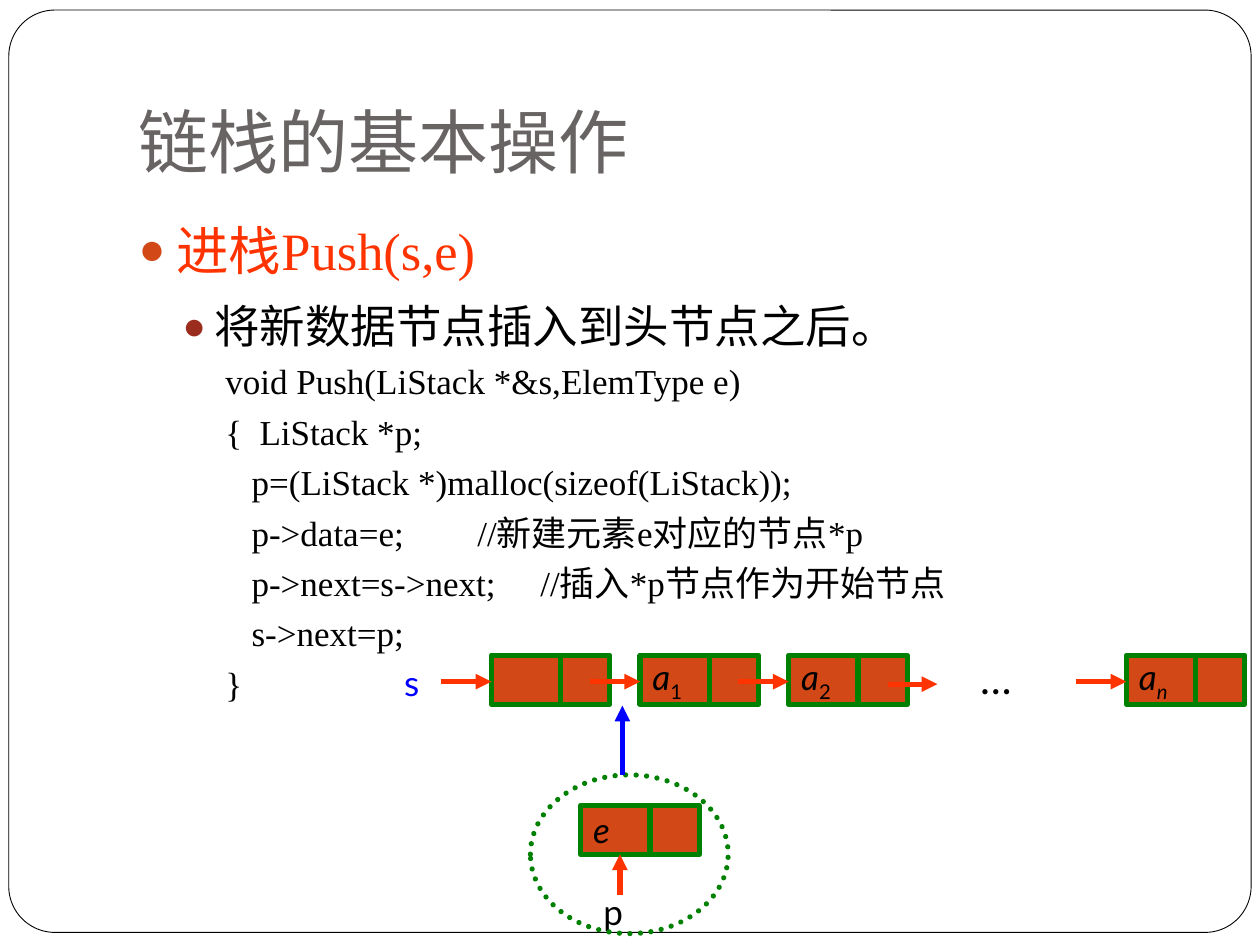
from lxml.etree import SubElement
from pptx import Presentation
from pptx.dml.color import RGBColor
from pptx.enum.dml import MSO_LINE
from pptx.enum.shapes import MSO_CONNECTOR, MSO_SHAPE
from pptx.enum.text import MSO_ANCHOR, MSO_AUTO_SIZE, PP_ALIGN
from pptx.oxml.ns import qn
from pptx.util import Pt

PX = 9144  # 100 px to the inch
COLORS = {
    "white": "FFFFFF", "black": "000000", "title": "696464",
    "red": "FF3300", "blue": "0000FF", "green": "008000",
    "cell": "D34817", "sub_bullet": "9B2D1F",
}
RGB = {name: RGBColor.from_string(value) for name, value in COLORS.items()}
SERIF, SANS = "Times New Roman", "Lato"


def add_span(para, text, size, font, color="black", italic=False, baseline=0):
    span = para.add_run()
    span.text = text
    span.font.size = Pt(size)
    span.font.name = font
    span.font.italic = italic
    span.font.color.rgb = RGB[color]
    if baseline:
        span.font._element.set("baseline", str(baseline * 1000))


def add_arrow(x1, y1, x2, y2, color="red"):
    arrow = page.shapes.add_connector(
        MSO_CONNECTOR.STRAIGHT, x1 * PX, y1 * PX, x2 * PX, y2 * PX)
    arrow.line.color.rgb = RGB[color]
    arrow.line.width = Pt(3)
    SubElement(arrow.line._get_or_add_ln(), qn("a:tailEnd"), type="triangle")
    SubElement(arrow._element.spPr, qn("a:effectLst"))


deck = Presentation()
deck.slide_width, deck.slide_height = 1000 * PX, 750 * PX
page = deck.slides.add_slide(deck.slide_layouts[1])

# Rounded page border, behind everything
border = page.shapes.add_shape(
    MSO_SHAPE.ROUNDED_RECTANGLE, 7 * PX, 8 * PX, 986 * PX, 732 * PX)
border.adjustments[0] = 0.05
border.shadow.inherit = False
border.fill.solid()
border.fill.fore_color.rgb = RGB["white"]
border.line.color.rgb = RGB["black"]
border.line.width = Pt(0.5)
page.shapes.element.insert(2, border.element)

# Title
title = page.shapes.title
title.left, title.top, title.width, title.height = (
    100 * PX, 30 * PX, 850 * PX, 125 * PX)
title.text_frame.auto_size = MSO_AUTO_SIZE.NONE
title.text_frame.vertical_anchor = MSO_ANCHOR.BOTTOM
title.text_frame.margin_bottom = 10 * PX
para = title.text_frame.paragraphs[0]
para.alignment = PP_ALIGN.LEFT
add_span(para, "链栈的基本操作", 40, "Roboto", "title")

# Bulleted list
body = page.placeholders[1]
body.left, body.top, body.width, body.height = (
    100 * PX, 158 * PX, 850 * PX, 500 * PX)
body.text_frame.auto_size = MSO_AUTO_SIZE.NONE
items = [
    ("进栈Push(s,e)", 30, "red", "cell", 30, 30, 5.8),
    ("将新数据节点插入到头节点之后。", 26, "black", "sub_bullet", 60, 25, 3.7),
]
for level, (text, size, color, dot, margin, hang, before) in enumerate(items):
    para = body.text_frame.add_paragraph() if level else body.text_frame.paragraphs[0]
    para.level = level
    para.line_spacing = 1.2
    para.space_before = Pt(before)
    props = para._p.get_or_add_pPr()
    props.set("marL", str(margin * PX))
    props.set("indent", str(-hang * PX))
    SubElement(SubElement(props, qn("a:buClr")), qn("a:srgbClr"), val=COLORS[dot])
    SubElement(props, qn("a:buSzPct"), val="85000")
    SubElement(props, qn("a:buChar"), char="●")
    add_span(para, text, size, SERIF, color)

# Code listing
code = page.shapes.add_textbox(169 * PX, 274 * PX, 693 * PX, 290 * PX)
code.text_frame.word_wrap = True
code_lines = [
    "void Push(LiStack *&s,ElemType e)",
    "{  LiStack *p;",
    "   p=(LiStack *)malloc(sizeof(LiStack));",
    "   p->data=e;\t\t//新建元素e对应的节点*p",
    "   p->next=s->next;\t//插入*p节点作为开始节点",
    "   s->next=p;",
    "}",
]
for index, text in enumerate(code_lines):
    para = code.text_frame.add_paragraph() if index else code.text_frame.paragraphs[0]
    para.line_spacing = 1.2
    add_span(para, text, 20, SERIF)

# List nodes: a data cell and a pointer cell each
nodes = [
    (390, 520, "", ""), (508, 520, "a", "1"), (626, 520, "a", "2"),
    (894, 520, "a", "n"), (461, 639, "e", ""),
]
for left, top, name, index in nodes:
    for x, width, label in [(left, 55, name), (left + 55, 39, "")]:
        box = page.shapes.add_shape(
            MSO_SHAPE.RECTANGLE, x * PX, top * PX, width * PX, 39 * PX)
        box.shadow.inherit = False
        box.fill.solid()
        box.fill.fore_color.rgb = RGB["cell"]
        box.line.color.rgb = RGB["green"]
        box.line.width = Pt(3)
        if label:
            box.text_frame.word_wrap = False
            para = box.text_frame.paragraphs[0]
            para.alignment = PP_ALIGN.LEFT
            add_span(para, label, 20, SANS, italic=True)
            if index:
                add_span(para, index, 20, SANS, italic=index == "n", baseline=-25)

# Links between nodes
for x in (350, 468, 586, 854):
    add_arrow(x, 541, x + 40, 541)
add_arrow(705, 543, 744, 543)
add_arrow(492, 710, 492, 678)

# Pointer names and the gap in the chain
labels = [
    ("s", 311, 520, 39, 44, 20, "blue", 12.5),
    ("…", 768, 513, 55, 50, 24, "black", 15),
    ("p", 469, 702, 71, 44, 20, "black", 12.5),
]
for text, left, top, width, height, size, color, before in labels:
    box = page.shapes.add_textbox(left * PX, top * PX, width * PX, height * PX)
    box.text_frame.word_wrap = True
    para = box.text_frame.paragraphs[0]
    para.space_before = Pt(before)
    add_span(para, text, size, SANS, color)

# Dotted ring around the new node, and where it goes
ring = page.shapes.add_shape(
    MSO_SHAPE.OVAL, 421 * PX, 615 * PX, 157 * PX, 126 * PX)
ring.shadow.inherit = False
ring.fill.background()
ring.line.color.rgb = RGB["green"]
ring.line.width = Pt(3)
ring.line.dash_style = MSO_LINE.ROUND_DOT
ring.line._get_or_add_ln().set("cap", "rnd")
add_arrow(494, 615, 494, 560, "blue")

deck.save("out.pptx")
